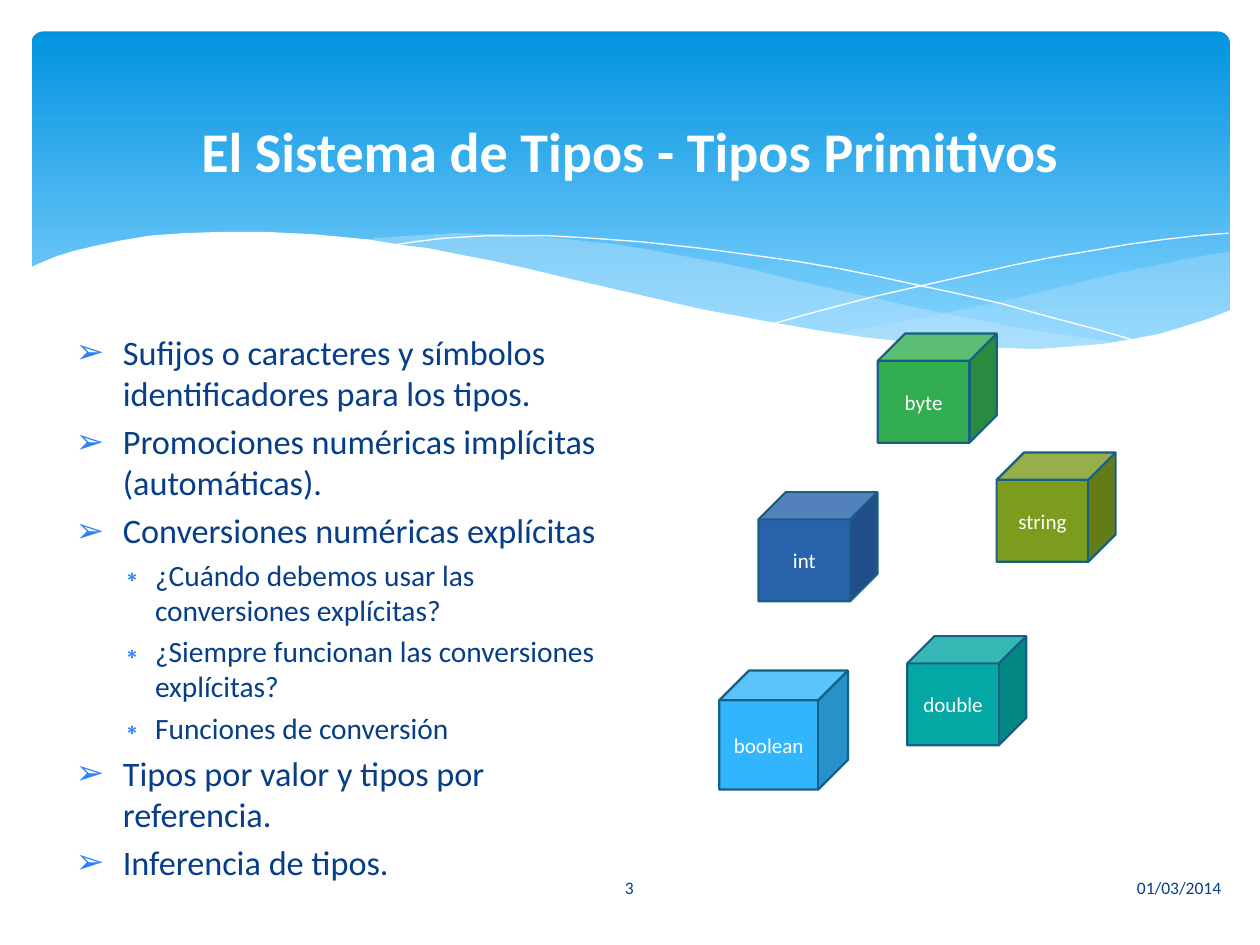
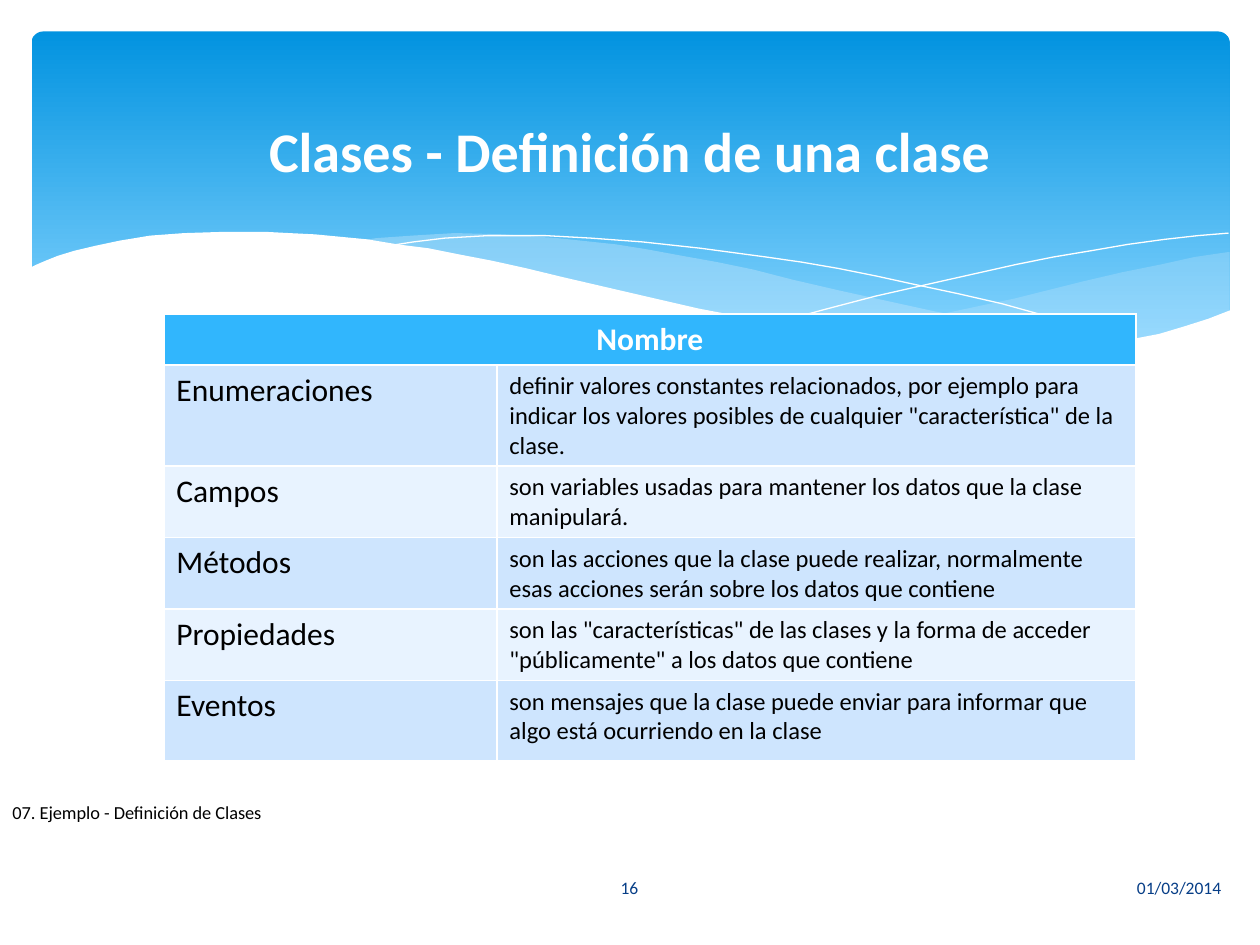
import lxml.etree
import pptx
import pptx.dml.color
import pptx.enum.shapes
import pptx.enum.text
import pptx.oxml.ns
import pptx.util

Pt = pptx.util.Pt
qn = pptx.oxml.ns.qn
SHAPE = pptx.enum.shapes.MSO_SHAPE
ALIGN = pptx.enum.text.PP_ALIGN
MIDDLE = pptx.enum.text.MSO_ANCHOR.MIDDLE
AUTO_SIZE = pptx.enum.text.MSO_AUTO_SIZE

FONT = "Calibri"
WHITE = "FFFFFF"
BLACK = "000000"
NAVY = "073E87"
BULLET_BLUE = "2D83F4"
SKY = "31B6FD"
MIST = "C6E7FC"
CUBE_EDGE = "195F84"
ROW_TINTS = ["CEE5FE", "E8F3FF"]


def color(hex_string):
    return pptx.dml.color.RGBColor.from_string(hex_string)


def add_run(paragraph, text, size, hex_string, bold=False):
    run = paragraph.add_run()
    run.text = text
    run.font.name = FONT
    run.font.size = Pt(size)
    run.font.bold = bold
    run.font.color.rgb = color(hex_string)


presentation = pptx.Presentation()
presentation.slide_width = Pt(720)
presentation.slide_height = Pt(540)
types_slide = presentation.slides.add_slide(presentation.slide_layouts[1])
classes_slide = presentation.slides.add_slide(presentation.slide_layouts[5])

# fmt: off
right_wave = [
    (975, 200), (948, 204), (921, 210), (891, 216), (861, 223), (805, 237), (753, 248), (706, 257),
    (661, 265), (691, 269), (719, 272), (745, 275), (769, 277), (803, 278), (835, 277), (863, 275),
    (889, 272), (913, 267), (935, 262), (949, 257), (976, 247), (976, 200),
]
middle_wave = [
    (893, 273), (866, 269), (807, 260), (741, 247), (668, 231), (629, 222), (598, 214), (569, 208),
    (541, 203), (514, 198), (489, 194), (442, 189), (399, 186), (361, 185), (328, 187), (299, 189),
    (286, 191), (323, 196), (362, 203), (404, 211), (449, 222), (491, 232), (530, 240), (566, 248),
    (601, 255), (634, 261), (665, 266), (695, 270), (722, 274), (748, 276), (773, 277), (807, 278),
    (838, 278), (867, 276), (893, 273),
]
falling_line = [
    (309, 195), (328, 192), (353, 189), (387, 187), (433, 187), (469, 189), (510, 192), (556, 197),
    (608, 204), (636, 208), (665, 213), (695, 219), (727, 226), (760, 233), (795, 241), (831, 251),
    (869, 261), (907, 272),
]
rising_line = [
    (613, 257), (653, 246), (695, 235), (748, 223), (806, 210), (836, 204), (866, 199), (895, 194),
    (924, 190), (951, 187), (975, 185),
]
front_wave = [
    (977, 246), (959, 253), (940, 259), (920, 265), (899, 269), (875, 273), (850, 275), (823, 277),
    (793, 276), (761, 275), (726, 272), (688, 268), (648, 262), (603, 254), (555, 245), (503, 233),
    (447, 220), (418, 213), (391, 207), (365, 202), (340, 197), (316, 194), (292, 190), (271, 188),
    (250, 186), (230, 185), (211, 184), (177, 184), (146, 185), (119, 187), (95, 191), (76, 195),
    (59, 199), (46, 203), (36, 207), (29, 210), (23, 213), (23, 329), (977, 329),
]
# fmt: on

band = types_slide.shapes.add_shape(SHAPE.ROUNDED_RECTANGLE, Pt(18), Pt(18), Pt(684.7), Pt(194.4))
band.adjustments[0] = 0.034
band.fill.gradient()
band.fill.gradient_angle = 270
for stop, position, tone in zip(band.fill.gradient_stops, [0, 0.9], ["0293E0", "83D3FE"]):
    stop.position = position
    stop.color.rgb = color(tone)
band.line.fill.background()
backdrop = [band]

for points, fill, opacity in [
    (right_wave, MIST, 29),
    (middle_wave, MIST, 40),
    (falling_line, None, None),
    (rising_line, None, None),
    (front_wave, WHITE, 100),
]:
    builder = types_slide.shapes.build_freeform(*points[0], scale=Pt(0.72))
    builder.add_line_segments(points[1:], close=fill is not None)
    wave = builder.convert_to_shape()
    if fill:
        wave.fill.solid()
        wave.fill.fore_color.rgb = color(fill)
        tone = wave.element.spPr.find(".//" + qn("a:srgbClr"))
        lxml.etree.SubElement(tone, qn("a:alpha"), val=str(opacity * 1000))
        wave.line.fill.background()
    else:
        wave.fill.background()
        wave.line.color.rgb = color(WHITE)
        wave.line.width = Pt(0)
    backdrop.append(wave)

master_tree = presentation.slide_master.shapes.element
for shape in backdrop:
    shape.shadow.inherit = False
    master_tree.append(shape.element)

for slide, title_text, number in [
    (types_slide, "El Sistema de Tipos - Tipos Primitivos", "3"),
    (classes_slide, "Clases - Definición de una clase", "16"),
]:
    title = slide.shapes.title
    title.left, title.top, title.width, title.height = Pt(36), Pt(54.7), Pt(648), Pt(62)
    title.text_frame.auto_size = AUTO_SIZE.NONE
    title.text_frame.vertical_anchor = MIDDLE
    title.text_frame.paragraphs[0].alignment = ALIGN.CENTER
    add_run(title.text_frame.paragraphs[0], title_text, 32, WHITE, True)
    for text, left, width, alignment in [
        ("01/03/2014", 406.8, 298, ALIGN.RIGHT),
        (number, 314, 91.4, ALIGN.CENTER),
    ]:
        footer = slide.shapes.add_textbox(Pt(left), Pt(492.5), Pt(width), Pt(28.8))
        footer.text_frame.word_wrap = True
        footer.text_frame.vertical_anchor = MIDDLE
        footer.text_frame.paragraphs[0].alignment = alignment
        add_run(footer.text_frame.paragraphs[0], text, 10, NAVY)

body = types_slide.placeholders[1]
body.left, body.top, body.width, body.height = Pt(36), Pt(185.8), Pt(318.2), Pt(296.6)
body.text_frame.auto_size = AUTO_SIZE.NONE
level_styles = [
    {"size": 19.6, "margin": 27, "hanging": 27, "bullet": "➢"},
    {"size": 16.8, "margin": 45.4, "hanging": 21.6, "bullet": "∗"},
]
for index, (level, text) in enumerate([
    (0, "Sufijos o caracteres y símbolos identificadores para los tipos."),
    (0, "Promociones numéricas implícitas (automáticas)."),
    (0, "Conversiones numéricas explícitas"),
    (1, "¿Cuándo debemos usar las conversiones explícitas?"),
    (1, "¿Siempre funcionan las conversiones explícitas?"),
    (1, "Funciones de conversión"),
    (0, "Tipos por valor y tipos por referencia."),
    (0, "Inferencia de tipos."),
]):
    style = level_styles[level]
    frame = body.text_frame
    paragraph = frame.add_paragraph() if index else frame.paragraphs[0]
    paragraph.level = level
    paragraph.space_before = Pt(style["size"] * 0.2)
    properties = paragraph._p.get_or_add_pPr()
    properties.set("marL", str(Pt(style["margin"])))
    properties.set("indent", str(-Pt(style["hanging"])))
    bullet_color = lxml.etree.SubElement(properties, qn("a:buClr"))
    lxml.etree.SubElement(bullet_color, qn("a:srgbClr"), val=BULLET_BLUE)
    lxml.etree.SubElement(properties, qn("a:buChar"), char=style["bullet"])
    add_run(paragraph, text, style["size"], NAVY)

for name, left, top, width, height, fill in [
    ("int", 433.4, 281.2, 68, 62.4, "2862AA"),
    ("double", 518.4, 363.5, 68, 62.4, "04A8A4"),
    ("string", 569.5, 258.6, 68, 62.4, "7C9C1E"),
    ("byte", 501.6, 190.6, 68, 62.4, "32AE51"),
    ("boolean", 411, 383.2, 73.6, 68, SKY),
]:
    cube = types_slide.shapes.add_shape(SHAPE.CUBE, Pt(left), Pt(top), Pt(width), Pt(height))
    cube.shadow.inherit = False
    cube.fill.solid()
    cube.fill.fore_color.rgb = color(fill)
    cube.line.color.rgb = color(CUBE_EDGE)
    cube.line.width = Pt(1.25)
    cube.text_frame.vertical_anchor = MIDDLE
    cube.text_frame.paragraphs[0].alignment = ALIGN.CENTER
    add_run(cube.text_frame.paragraphs[0], name, 12, WHITE)

members = [
    ("Enumeraciones", 'definir valores constantes relacionados, por ejemplo para indicar los valores '
     'posibles de cualquier "característica" de la clase.'),
    ("Campos", "son variables usadas para mantener los datos que la clase manipulará."),
    ("Métodos", "son las acciones que la clase puede realizar, normalmente esas acciones serán "
     "sobre los datos que contiene"),
    ("Propiedades", 'son las "características" de las clases y la forma de acceder "públicamente" '
     'a los datos que contiene'),
    ("Eventos", "son mensajes que la clase puede enviar para informar que algo está ocurriendo "
     "en la clase"),
]
table = classes_slide.shapes.add_table(
    len(members) + 1, 2, Pt(93.6), Pt(179.5), Pt(555.5), Pt(193.6)
).table
table.columns[0].width = Pt(190.3)
table.columns[1].width = Pt(365.2)
for row in table.rows:
    row.height = Pt(29.2)
table.rows[len(members)].height = Pt(46)

header = table.cell(0, 0)
header.merge(table.cell(0, 1))
header.fill.solid()
header.fill.fore_color.rgb = color(SKY)
header.text_frame.paragraphs[0].alignment = ALIGN.CENTER
add_run(header.text_frame.paragraphs[0], "Nombre", 18, WHITE, True)
for row_index, member in enumerate(members):
    for column_index, (text, size) in enumerate(zip(member, [18, 14])):
        cell = table.cell(row_index + 1, column_index)
        cell.fill.solid()
        cell.fill.fore_color.rgb = color(ROW_TINTS[row_index % 2])
        add_run(cell.text_frame.paragraphs[0], text, size, BLACK)

example = classes_slide.shapes.add_textbox(Pt(0), Pt(454.3), Pt(159), Pt(20))
example.text_frame.word_wrap = False
example.text_frame.auto_size = AUTO_SIZE.SHAPE_TO_FIT_TEXT
add_run(example.text_frame.paragraphs[0], "07. Ejemplo - Definición de Clases", 10.5, BLACK)

presentation.save("out.pptx")
